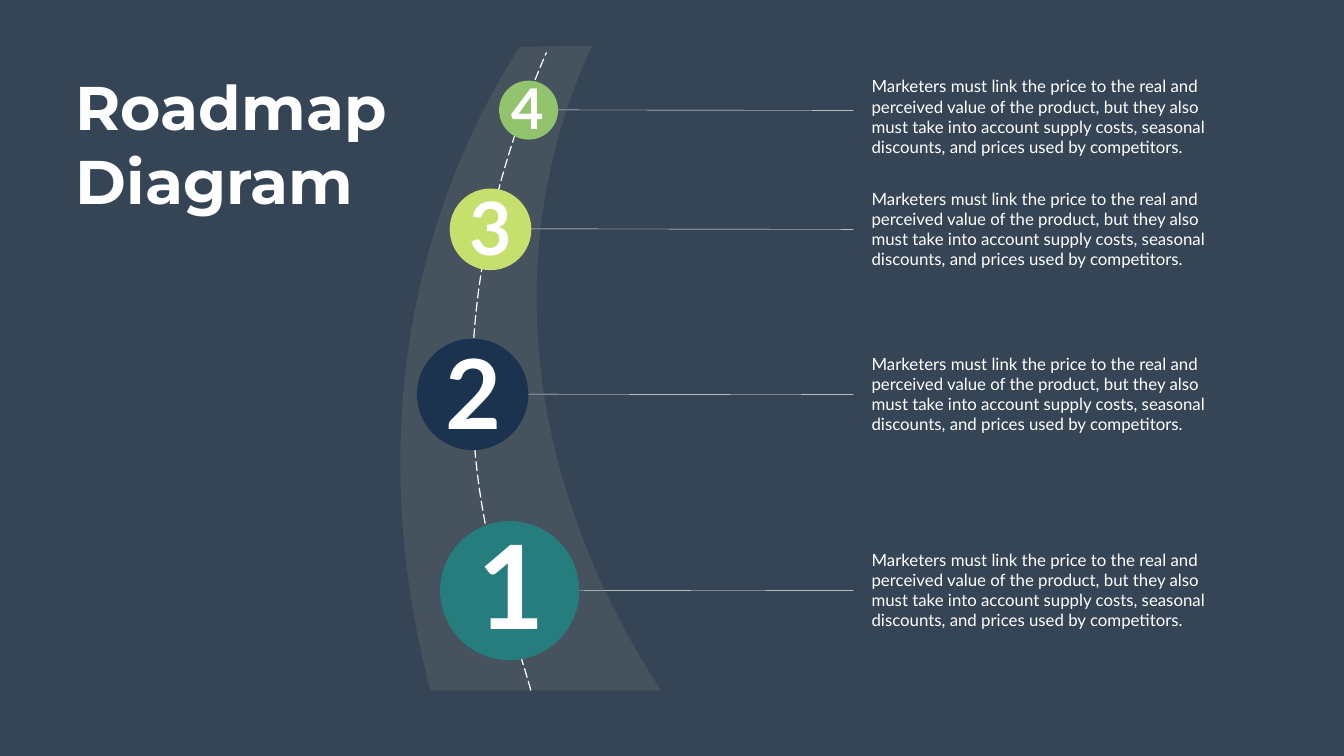
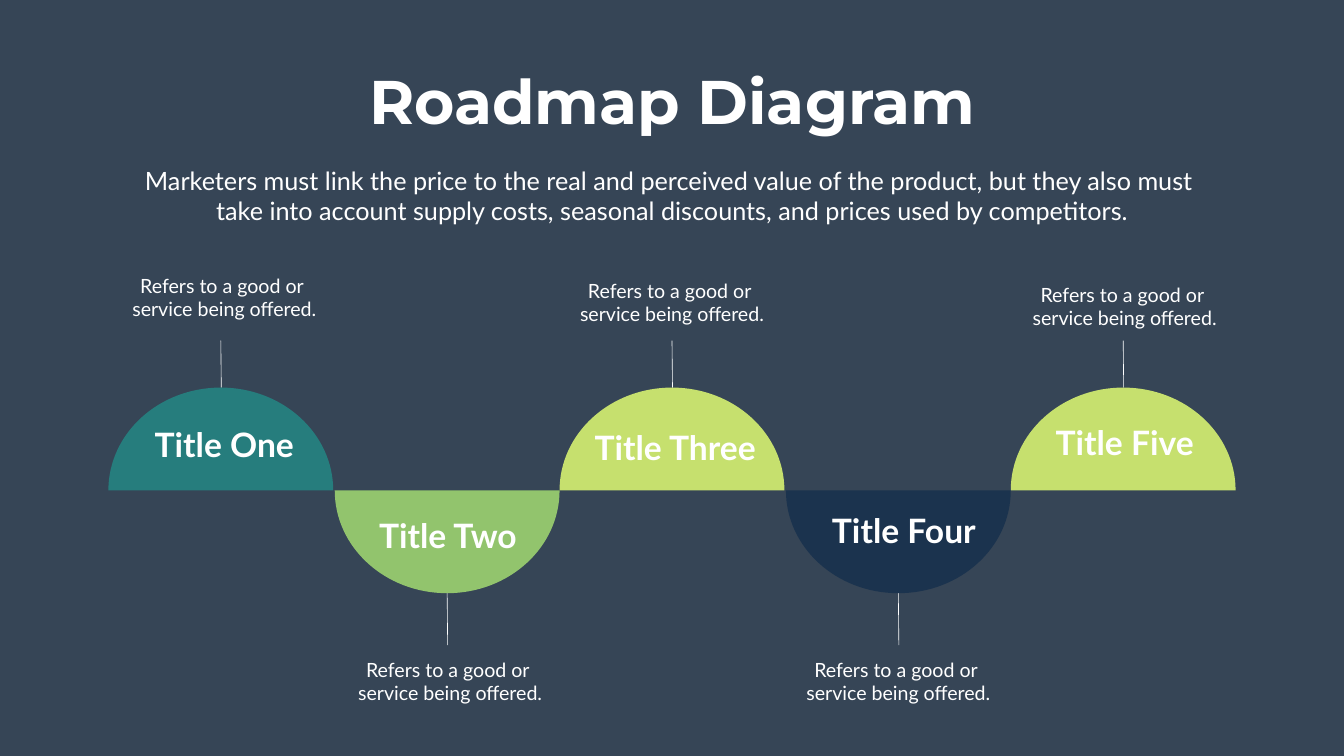
from lxml import etree
from pptx import Presentation
from pptx.dml.color import RGBColor
from pptx.enum.dml import MSO_LINE
from pptx.enum.shapes import MSO_CONNECTOR, MSO_SHAPE
from pptx.enum.text import MSO_ANCHOR, MSO_AUTO_SIZE, PP_ALIGN
from pptx.oxml.ns import qn
from pptx.util import Inches, Pt

LEFT, CENTER = PP_ALIGN.LEFT, PP_ALIGN.CENTER
TOP = MSO_ANCHOR.TOP
FIT_SHAPE = MSO_AUTO_SIZE.SHAPE_TO_FIT_TEXT
STRAIGHT = MSO_CONNECTOR.STRAIGHT
OVAL = MSO_SHAPE.OVAL
LONG_DASH = MSO_LINE.LONG_DASH

BACKGROUND, WHITE, ROAD = "364556", "FFFFFF", "797979"
TEAL, GREEN, LIME, NAVY = "267D7D", "92C46D", "C6E06E", "1B334E"
HEADING_FONT, BODY_FONT = "Montserrat", "Lato"


def paint(fill, color):
    fill.solid()
    fill.fore_color.rgb = RGBColor.from_string(color)


def write(shape, text, box, size, font=BODY_FONT, bold=False, align=CENTER, wrap=False):
    shape.left, shape.top, shape.width, shape.height = [Inches(length) for length in box]
    text_frame = shape.text_frame
    text_frame.text = text
    text_frame.word_wrap = wrap
    text_frame.auto_size = FIT_SHAPE
    text_frame.vertical_anchor = TOP
    for paragraph in text_frame.paragraphs:
        paragraph.alignment = align
        for run in paragraph.runs:
            run.font.size = Pt(size)
            run.font.name = font
            run.font.bold = bold
            paint(run.font.fill, WHITE)


presentation = Presentation()
presentation.slide_width = Inches(26.66)
presentation.slide_height = Inches(15)
paint(presentation.slide_master.background.fill, BACKGROUND)
title_layout = presentation.slide_layouts[5]
road_slide = presentation.slides.add_slide(title_layout)
wave_slide = presentation.slides.add_slide(title_layout)

titles = [
    (road_slide, "Roadmap\nDiagram", (1.4, 1.31, 6.39, 3.06), LEFT),
    (wave_slide, "Roadmap Diagram", (7.19, 1.19, 12.28, 1.58), CENTER),
]
for slide, text, box, align in titles:
    write(slide.shapes.title, text, box, 88, HEADING_FONT, True, align)

stages = [
    ("Title One", TEAL, 4.38, (2.95, 8.37, 3, 0.91), (2.35, 5.38)),
    ("Title Two", GREEN, 8.87, (7.36, 10.17, 3.05, 0.91), (6.83, 13)),
    ("Title Three", LIME, 13.33, (11.66, 8.43, 3.47, 0.91), (11.23, 5.48)),
    ("Title Four", NAVY, 17.82, (16.37, 10.07, 3.12, 0.91), (15.72, 13)),
    ("Title Five", LIME, 22.28, (20.82, 8.32, 2.98, 0.91), (20.21, 5.56)),
]

connectors = [
    (road_slide, 10.43, 2.18, 16.93, 2.19, 0.57),
    (road_slide, 9.89, 4.54, 16.93, 4.55, 0.57),
    (road_slide, 9.89, 7.82, 16.93, 7.83, 0.57),
    (road_slide, 9.78, 11.71, 16.93, 11.72, 0.57),
]
road_edge = [
    (13.11, 13.7), (11.58, 13.7), (10.06, 13.7), (8.54, 13.7),
    (8.03, 11.77), (7.36, 7.98), (8.87, 3.85),
    (9.28, 2.72), (9.79, 1.74), (10.31, 0.93),
    (10.79, 0.92), (11.26, 0.92), (11.74, 0.91),
    (11.35, 1.76), (11, 2.77), (10.81, 3.93),
    (10.02, 8.57), (12.23, 12.35), (13.11, 13.7),
]
lane_marking = [(10.53, 13.7), (10.02, 11.77), (8.02, 7.58), (10.84, 1.04)]
outlines = [(road_slide, road_edge, ROAD), (road_slide, lane_marking, None)]
half_circle = [
    (2.23, 0), (2.23, 1.13), (1.23, 2.04), (0, 2.04),
    (-1.23, 2.04), (-2.23, 1.13), (-2.23, 0),
]
for index, (name, color, center, name_box, caption_corner) in enumerate(stages):
    direction = 1 if index % 2 else -1
    start, end = (11.77, 12.8) if index % 2 else (6.76, 7.69)
    connectors.append((wave_slide, center, start, center + 0.01, end, 0.88))
    points = [(center + x, 9.73 + direction * y) for x, y in half_circle]
    outlines.append((wave_slide, points, color))

for slide, *ends, weight in connectors:
    connector = slide.shapes.add_connector(STRAIGHT, *[Inches(length) for length in ends])
    paint(connector.line.fill, WHITE)
    connector.line.width = Pt(weight)
    etree.SubElement(connector._element.spPr, qn("a:effectLst"))

for slide, points, color in outlines:
    first, *others = [(Inches(x), Inches(y)) for x, y in points]
    builder = slide.shapes.build_freeform(*first)
    builder.add_line_segments(others, close=color is not None)
    shape = builder.convert_to_shape()
    shape.shadow.inherit = False
    segments = list(shape._element.spPr.iter(qn("a:lnTo")))
    for index in range(0, len(segments), 3):
        curve = etree.Element(qn("a:cubicBezTo"))
        segments[index].addprevious(curve)
        for segment in segments[index:index + 3]:
            curve.append(segment[0])
            segment.getparent().remove(segment)
    if color is None:
        shape.fill.background()
        paint(shape.line.fill, WHITE)
        shape.line.width = Pt(1.73)
        shape.line.dash_style = LONG_DASH
        continue
    paint(shape.fill, color)
    shape.line.fill.background()
    if color == ROAD:
        road_color = shape._element.spPr.find(qn("a:solidFill"))[0]
        etree.SubElement(road_color, qn("a:alpha"), val="25000")

milestone_text = (
    "Marketers must link the price to the real and perceived value of the product, "
    "but they also must take into account supply costs, seasonal discounts, "
    "and prices used by competitors."
)
milestones = [
    ("1", TEAL, (8.73, 10.34), 2.76, (9.38, 10.13, 1.55, 2.89), 166, 10.85),
    ("2", NAVY, (8.27, 6.72), 2.21, (8.74, 6.56, 1.32, 2.42), 138, 6.96),
    ("3", LIME, (8.92, 3.74), 1.62, (9.22, 3.57, 1.06, 1.87), 105, 3.69),
    ("4", GREEN, (9.9, 1.6), 1.17, (10.04, 1.4, 0.85, 1.45), 80, 1.46),
]
for number, color, (left, top), diameter, number_box, size, text_top in milestones:
    circle = road_slide.shapes.add_shape(
        OVAL, Inches(left), Inches(top), Inches(diameter), Inches(diameter)
    )
    circle.shadow.inherit = False
    paint(circle.fill, color)
    circle.line.fill.background()
    write(
        road_slide.shapes.add_textbox(0, 0, 0, 0), number,
        number_box, size, bold=True, align=LEFT,
    )
    write(
        road_slide.shapes.add_textbox(0, 0, 0, 0), milestone_text,
        (17.19, text_top, 7.18, 1.72), 24, align=LEFT, wrap=True,
    )

introduction = (
    "Marketers must link the price to the real and perceived value of the product, "
    "but they also must \n"
    "take into account supply costs, seasonal discounts, and prices used by competitors."
)
write(
    wave_slide.shapes.add_textbox(0, 0, 0, 0), introduction,
    (1.33, 3.23, 24, 1.31), 36, wrap=True,
)

for name, color, center, name_box, caption_corner in stages:
    write(wave_slide.shapes.add_textbox(0, 0, 0, 0), name, name_box, 48, bold=True)
    write(
        wave_slide.shapes.add_textbox(0, 0, 0, 0),
        "Refers to a good or \nservice being offered.",
        (*caption_corner, 4.2, 1.04), 28, wrap=True,
    )

presentation.save("out.pptx")
